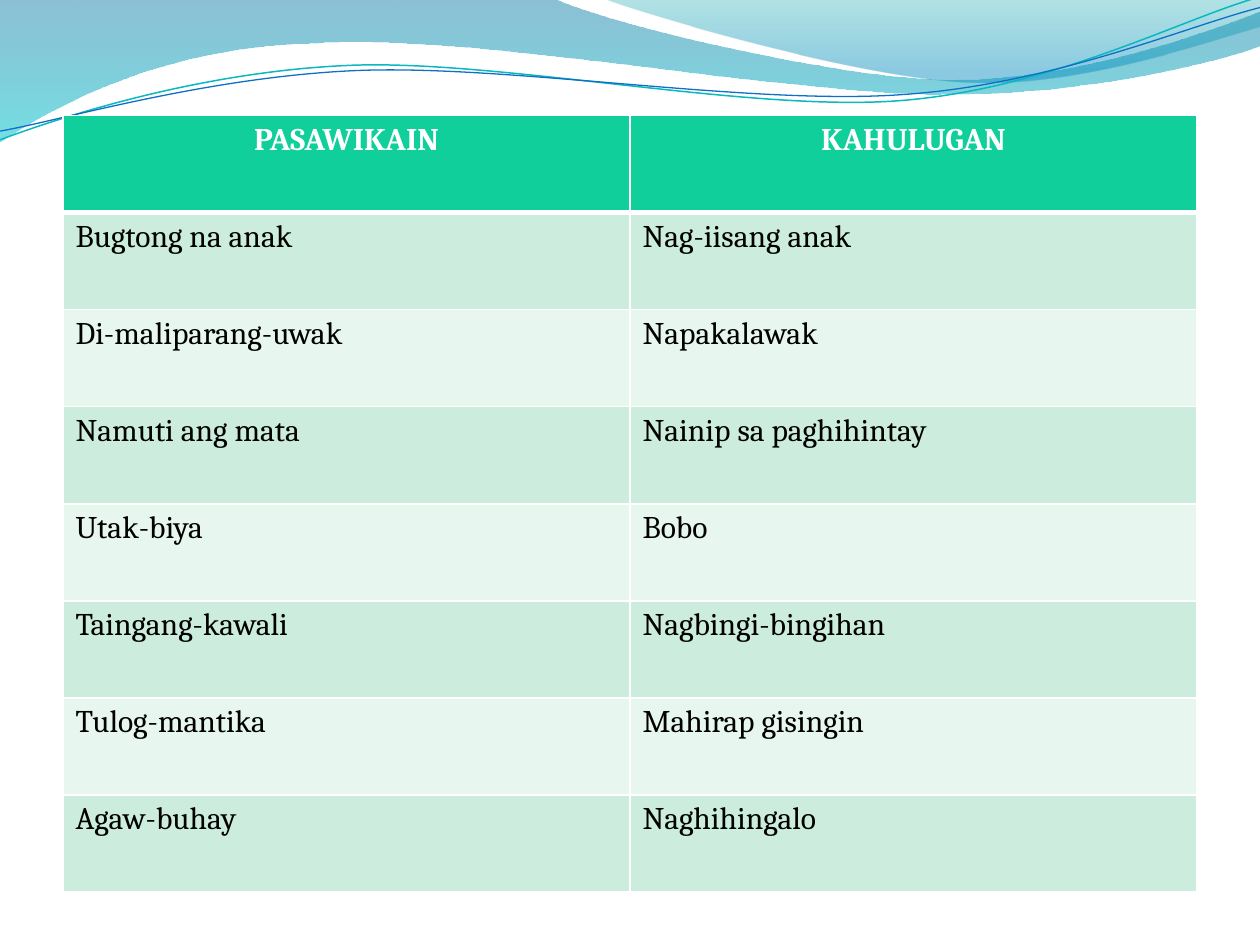
import pptx
import pptx.dml.color
import pptx.enum.text
import pptx.oxml.ns
import pptx.util
from lxml import etree

THEME = {
    "font": "Cambria", "size": 18,
    "header": "10CF9B", "bands": ("CCEDDE", "E7F6EF"),
    "head_text": "FFFFFF", "body_text": "000000", "border": "FFFFFF",
}
Pt = pptx.util.Pt
RGB = pptx.dml.color.RGBColor.from_string
qn = pptx.oxml.ns.qn

prs = pptx.Presentation()
prs.slide_width, prs.slide_height = Pt(720), Pt(540)
s = prs.slides.add_slide(prs.slide_layouts[6])


def add_curve(start, segments, closed):
    """Draw a path; a segment of three points is a Bezier curve."""
    fb = s.shapes.build_freeform(Pt(start[0]), Pt(start[1]), scale=1.0)
    for points in segments:
        fb.add_line_segments([(Pt(x), Pt(y)) for x, y in points], close=False)
    if closed:
        fb.add_line_segments([], close=True)
    sp = fb.convert_to_shape()
    sp.shadow.inherit = False
    lines = iter(list(sp.element.iter(qn("a:lnTo"))))
    for points in segments:
        parts = [next(lines) for _ in points]
        if len(parts) == 3:
            curve = etree.Element(qn("a:cubicBezTo"))
            parts[0].addprevious(curve)
            for part in parts:
                curve.append(part[0])
                part.getparent().remove(part)
    return sp


# Gradient waves: start, segments, gradient stops (position, colour, opacity)
waves = [
    ((0, 0), [
        [(316.8, -0.7)],
        [(342.7, 12.2), (478.1, 45.4), (545.8, 45.4)],
        [(614.2, 45.4), (689.8, 18.7), (720, 6.5)],
        [(720.7, 25.9)],
        [(707.8, 31.7), (626.4, 54.7), (537.1, 54)],
        [(447.8, 54), (275, 20.2), (185, 24.5)],
        [(92.9, 25.9), (33.1, 59.8), (-0.7, 81.4)],
    ], [(0, "0074A1", 45), (1, "00C6CF", 55)]),
    ((344.9, -0.7), [
        [(366.5, 7.9), (491, 44.6), (553.7, 46.8)],
        [(616.3, 49.7), (691.9, 23), (720, 15.1)],
        [(720, 0)],
    ], [(0, "00A1A9", 30), (0.8, "008BBF", 45)]),
]
for start, segments, stops in waves:
    sp = add_curve(start, segments, True)
    sp.line.fill.background()
    sp.fill.gradient()
    sp.fill.gradient_angle = 270
    for stop, (position, color, opacity) in zip(sp.fill.gradient_stops, stops):
        stop.position = position
        stop.color.rgb = RGB(color)
    for clr, (_, _, opacity) in zip(sp.element.spPr.iter(qn("a:srgbClr")), stops):
        etree.SubElement(clr, qn("a:alpha"), val=str(opacity * 1000))

# Thin wave lines
wave_lines = [
    ((0, 79.9), [
        [(34.6, 67), (113.8, 41), (199.4, 37.4)],
        [(284.4, 33.8), (427, 64.1), (513.4, 57.6)],
        [(599.8, 51.1), (675.4, 10.8), (718.6, -1.4)],
    ], "0AB8BF", 0.85),
    ((0, 74.9), [
        [(33.8, 69.1), (118.1, 43.9), (203.8, 40.3)],
        [(290.2, 36.7), (429.8, 60.5), (516.2, 54)],
        [(601.9, 48.2), (677.5, 15.1), (720, 4.3)],
    ], "0F6FC6", 0.75),
]
for start, segments, color, width in wave_lines:
    sp = add_curve(start, segments, False)
    sp.fill.background()
    sp.line.color.rgb = RGB(color)
    sp.line.width = Pt(width)

# Table of idioms and meanings
rows = [
    ("PASAWIKAIN", "KAHULUGAN"),
    ("Bugtong na anak", "Nag-iisang anak"),
    ("Di-maliparang-uwak", "Napakalawak"),
    ("Namuti ang mata", "Nainip sa paghihintay"),
    ("Utak-biya", "Bobo"),
    ("Taingang-kawali", "Nagbingi-bingihan"),
    ("Tulog-mantika", "Mahirap gisingin"),
    ("Agaw-buhay", "Naghihingalo"),
]
row_height = 55.5
table = s.shapes.add_table(len(rows), 2, Pt(36), Pt(66), Pt(648),
                           Pt(row_height * len(rows))).table
for row in table.rows:
    row.height = Pt(row_height)

for i, texts in enumerate(rows):
    head = i == 0
    for j, text in enumerate(texts):
        cell = table.cell(i, j)
        p = cell.text_frame.paragraphs[0]
        if head:
            p.alignment = pptx.enum.text.PP_ALIGN.CENTER
        r = p.add_run()
        r.text = text
        r.font.name = THEME["font"]
        r.font.size = Pt(THEME["size"])
        r.font.bold = head
        r.font.color.rgb = RGB(THEME["head_text" if head else "body_text"])

        # Borders, heavier under the header
        tcPr = cell._tc.get_or_add_tcPr()
        for side in "LRTB":
            heavy = (i, side) in ((0, "B"), (1, "T"))
            ln = etree.SubElement(tcPr, qn("a:ln" + side),
                                  w=str(Pt(3 if heavy else 1)))
            solid = etree.SubElement(ln, qn("a:solidFill"))
            etree.SubElement(solid, qn("a:srgbClr"), val=THEME["border"])
        cell.fill.solid()
        cell.fill.fore_color.rgb = RGB(
            THEME["header"] if head else THEME["bands"][(i - 1) % 2])

prs.save("out.pptx")
